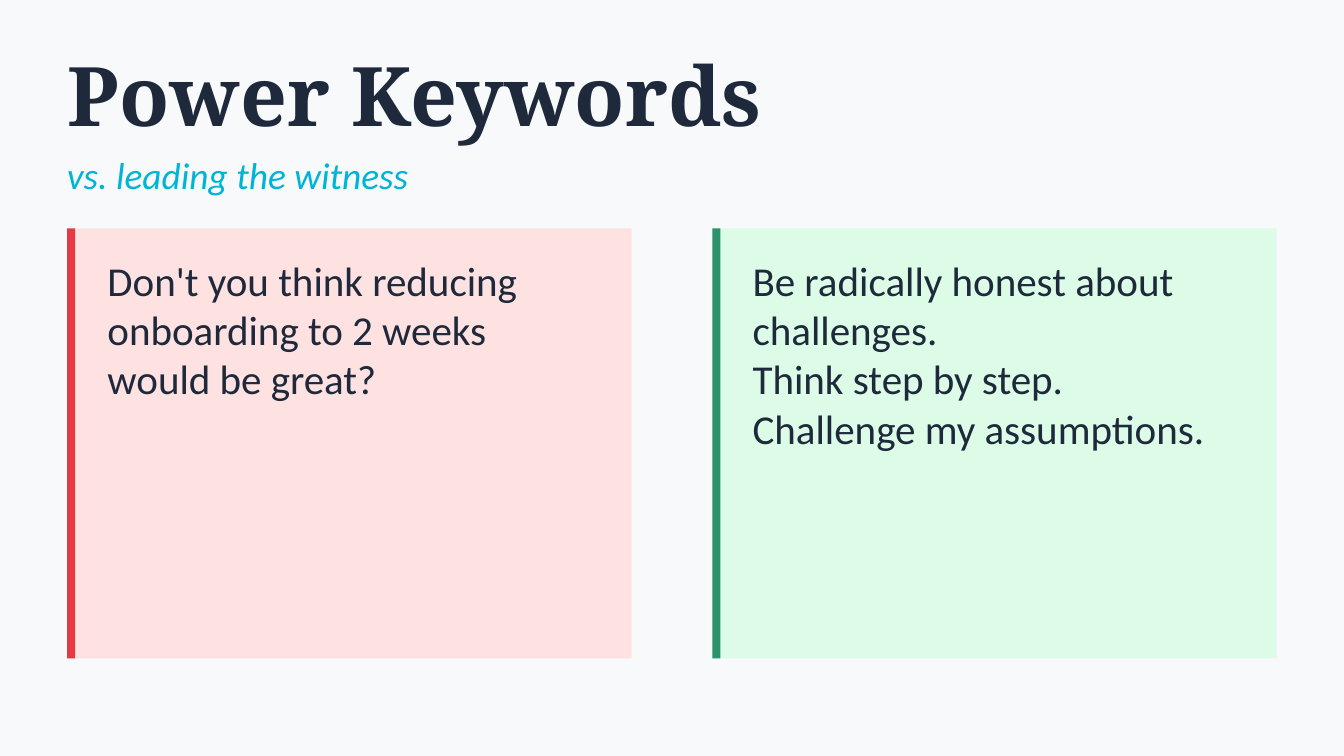
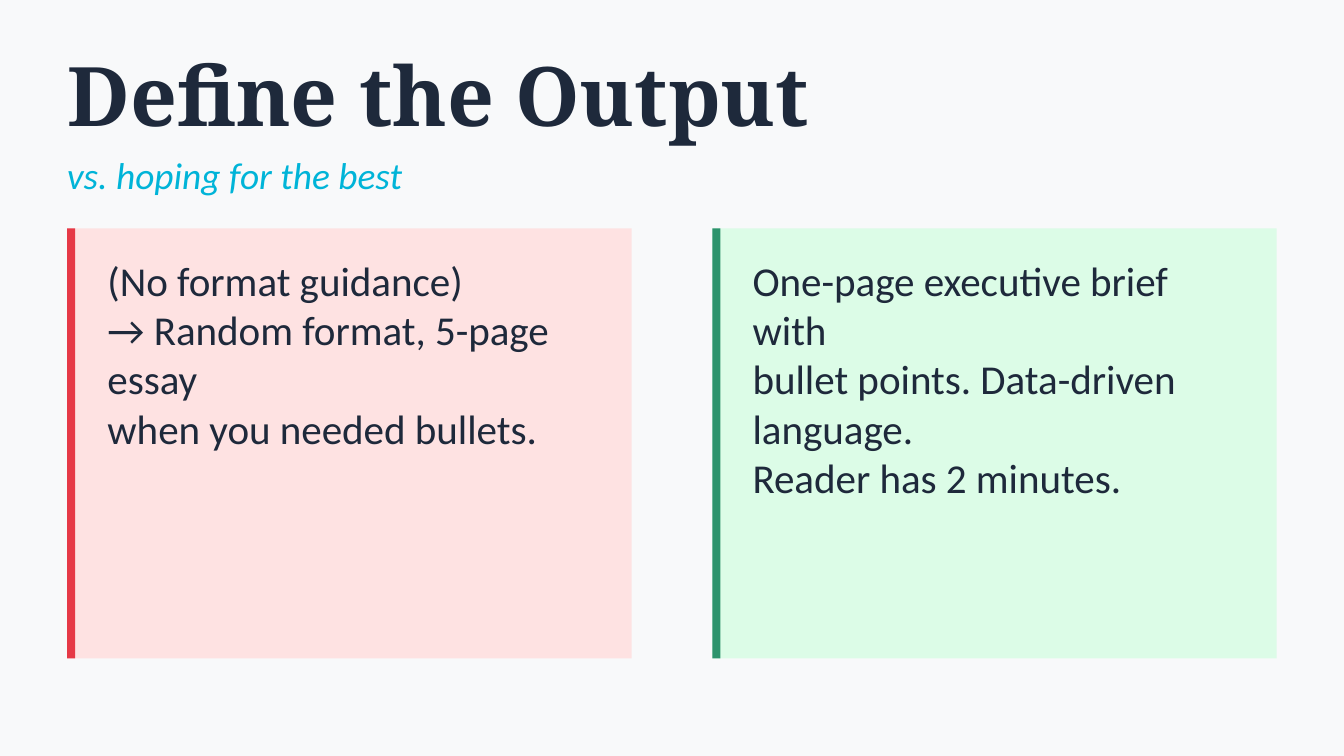
"""Build two slides that set a weak prompt beside a strong one."""
import pptx
import pptx.util
import pptx.dml.color
import pptx.enum.shapes
import pptx.enum.text

Inches = pptx.util.Inches
RGB = pptx.dml.color.RGBColor
Anchor = pptx.enum.text.MSO_ANCHOR

SLIDES = [
    {
        "title": "Power Keywords",
        "sub": "vs. leading the witness",
        "cards": [
            ["Don't you think reducing", "onboarding to 2 weeks", "would be great?"],
            ["Be radically honest about challenges.", "Think step by step.",
             "Challenge my assumptions."],
        ],
    },
    {
        "title": "Define the Output",
        "sub": "vs. hoping for the best",
        "cards": [
            ["(No format guidance)", "→ Random format, 5-page essay",
             "when you needed bullets."],
            ["One-page executive brief with", "bullet points. Data-driven language.",
             "Reader has 2 minutes."],
        ],
    },
]

PAPER = RGB(0xF8, 0xF9, 0xFA)
INK = RGB(0x1E, 0x29, 0x3B)
CYAN = RGB(0x00, 0xB4, 0xD8)
PINK = RGB(0xFE, 0xE2, 0xE2)
RED = RGB(0xE6, 0x39, 0x46)
MINT = RGB(0xDC, 0xFC, 0xE7)
GREEN = RGB(0x2D, 0x93, 0x6C)
TONES = [(PINK, RED), (MINT, GREEN)]

HEAD, BODY = "Noto Serif", "Calibri"
WIDE = 10
HIGH = WIDE * 9 / 16
EDGE, GAP, TOP = 0.5, 0.6, 1.7
SPAN = WIDE - 2 * EDGE
CARD_W, CARD_H, BAR_W = (SPAN - GAP) / 2, 3.2, 0.06
PAD_X, PAD_Y = 0.3, 0.2


def write(shape, lines, size, color, face=BODY, bold=False, italic=False,
          anchor=Anchor.TOP):
    """Fill a shape with plain left-aligned paragraphs."""
    frame = shape.text_frame
    frame.word_wrap = True
    frame.auto_size = pptx.enum.text.MSO_AUTO_SIZE.NONE
    frame.vertical_anchor = anchor
    frame.margin_left = frame.margin_right = 0
    frame.margin_top = frame.margin_bottom = 0
    frame.text = "\n".join(lines)
    for para in frame.paragraphs:
        para.alignment = pptx.enum.text.PP_ALIGN.LEFT
        font = para.font
        font.name, font.size = face, pptx.util.Pt(size)
        font.bold, font.italic = bold, italic
        font.color.rgb = color


def add_text(slide, box, lines, size, color, **style):
    """Add a text box."""
    shape = slide.shapes.add_textbox(*map(Inches, box))
    write(shape, lines, size, color, **style)


def add_rect(slide, box, color):
    """Add a flat rectangle."""
    kind = pptx.enum.shapes.MSO_SHAPE.RECTANGLE
    shape = slide.shapes.add_shape(kind, *map(Inches, box))
    shape.shadow.inherit = False
    shape.fill.solid()
    shape.fill.fore_color.rgb = color
    shape.line.fill.background()


def add_title(slide, text):
    """Place and style the title."""
    title = slide.shapes.title
    title.left, title.top = Inches(EDGE), Inches(0.3)
    title.width, title.height = Inches(SPAN), Inches(0.8)
    write(title, [text], 44, INK, face=HEAD, bold=True, anchor=Anchor.MIDDLE)


def add_card(slide, left, lines, fill, bar):
    """Add a tinted card with a coloured left bar."""
    add_rect(slide, (left, TOP, CARD_W, CARD_H), fill)
    add_rect(slide, (left, TOP, BAR_W, CARD_H), bar)
    box = (left + PAD_X, TOP + PAD_Y, CARD_W - 2 * PAD_X, CARD_H - 2 * PAD_Y)
    add_text(slide, box, lines, 22, INK)


def main():
    """Build and save the deck."""
    deck = pptx.Presentation()
    deck.slide_width, deck.slide_height = Inches(WIDE), Inches(HIGH)
    back = deck.slide_master.background.fill
    back.solid()
    back.fore_color.rgb = PAPER
    for item in SLIDES:
        slide = deck.slides.add_slide(deck.slide_layouts[5])
        add_title(slide, item["title"])
        add_text(slide, (EDGE, 1.05, SPAN, 0.5), [item["sub"]], 20,
                 CYAN, italic=True, anchor=Anchor.MIDDLE)
        for col, (lines, tone) in enumerate(zip(item["cards"], TONES)):
            add_card(slide, EDGE + col * (CARD_W + GAP), lines, *tone)
    deck.save("out.pptx")


if __name__ == "__main__":
    main()
